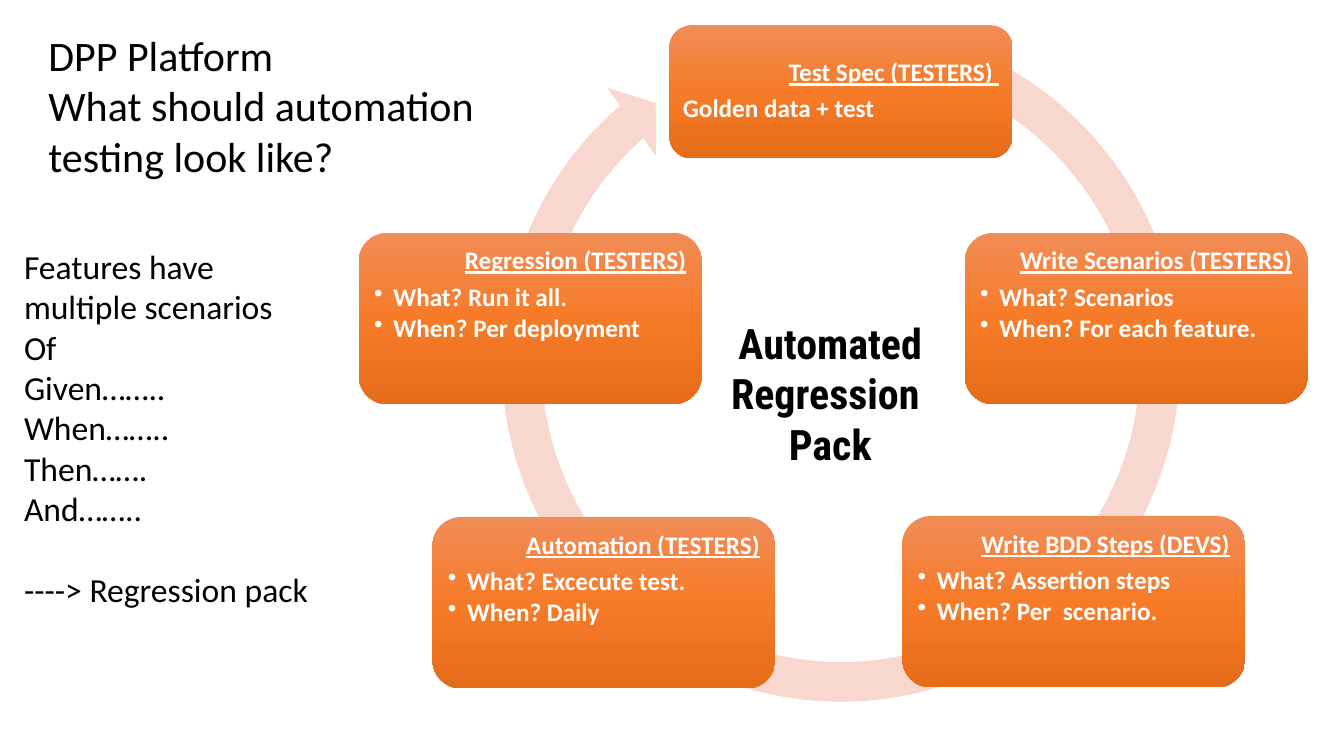
import copy

import lxml.etree
import pptx
import pptx.dml.color
import pptx.enum.shapes
import pptx.enum.text
import pptx.oxml.ns
import pptx.util

ALIGN = pptx.enum.text.PP_ALIGN
ANCHOR = pptx.enum.text.MSO_ANCHOR
SHAPE = pptx.enum.shapes.MSO_SHAPE
qn = pptx.oxml.ns.qn

CARD_WIDTH = 34
CARD_STOPS = [(0, "F18C57"), (0.5, "F67B28"), (1, "E56C19")]
STAGES = [
    (95.7, 23.1, "Write Scenarios (TESTERS)", ["What? Scenarios", "When? For each feature."]),
    (89.5, 51.2, "Write BDD Steps (DEVS)", ["What? Assertion steps", "When? Per  scenario."]),
    (42.9, 51.3, "Automation (TESTERS)", ["What? Excecute test.", "When? Daily"]),
    (35.6, 23.1, "Regression (TESTERS)", ["What? Run it all.", "When? Per deployment"]),
]
FEATURE_LINES = ["Features have", "multiple scenarios", "Of", "Given……..",
                 "When……..", "Then…….", "And…….."]


def color(value):
    return pptx.dml.color.RGBColor.from_string(value)


def write(frame, text, size=18, font="Calibri", ink="000000", bold=False, underline=False,
          align=ALIGN.LEFT, spacing=1.0, before=0, after=0, bullet=False):
    para = frame.paragraphs[0] if not frame.text else frame.add_paragraph()
    para.alignment, para.line_spacing = align, spacing
    para.space_before, para.space_after = pptx.util.Pt(before), pptx.util.Pt(after)
    if bullet:
        properties = para._p.get_or_add_pPr()
        indent = pptx.util.Inches(0.19)
        properties.set("marL", str(indent))
        properties.set("indent", str(-indent))
        lxml.etree.SubElement(properties, qn("a:buChar")).set("char", "•")
    span = para.add_run()
    span.text = text
    span.font.name, span.font.size = font, pptx.util.Pt(size)
    span.font.bold, span.font.underline = bold, underline
    span.font.color.rgb = color(ink)


class Board:
    """Draws styled elements on a page with a grid of 0.1 inch columns and rows."""

    def __init__(self, deck):
        self.unit = pptx.util.Inches(0.1)
        self.page = deck.slides.add_slide(deck.slide_layouts[5])

    def place(self, *cells):
        return [round(cell * self.unit) for cell in cells]

    def title(self, cells, lines, **style):
        box = self.page.shapes.title
        box.left, box.top, box.width, box.height = self.place(*cells)
        self.fill_text(box.text_frame, lines, **style)

    def text(self, cells, lines, **style):
        box = self.page.shapes.add_textbox(*self.place(*cells))
        self.fill_text(box.text_frame, lines, **style)
        return box.text_frame

    def fill_text(self, frame, lines, **style):
        frame.word_wrap = True
        frame.auto_size = pptx.enum.text.MSO_AUTO_SIZE.NONE
        frame.vertical_anchor = ANCHOR.TOP
        for line in lines:
            write(frame, line, **style)

    def shape(self, kind, cells):
        box = self.page.shapes.add_shape(kind, *self.place(*cells))
        box.shadow.inherit = False
        box.line.fill.background()
        return box

    def ring(self, cells, adjustments, fill):
        arrow = self.shape(SHAPE.CIRCULAR_ARROW, cells)
        for index, value in enumerate(adjustments):
            arrow.adjustments[index] = value
        arrow.fill.solid()
        arrow.fill.fore_color.rgb = color(fill)

    def card(self, column, row, heading, lines, height=17, anchor=ANCHOR.TOP,
             bullet=True, after=2.7):
        box = self.shape(SHAPE.ROUNDED_RECTANGLE, (column, row, CARD_WIDTH, height))
        box.fill.gradient()
        box.fill.gradient_angle = 270
        stops = box._element.spPr.find(".//" + qn("a:gsLst"))
        stops.append(copy.deepcopy(stops[0]))
        for stop, (position, value) in zip(box.fill.gradient_stops, CARD_STOPS):
            stop.position, stop.color.rgb = position, color(value)
        frame = box.text_frame
        frame.margin_left = frame.margin_right = pptx.util.Inches(0.07)
        frame.margin_top = frame.margin_bottom = pptx.util.Inches(0.07)
        style = dict(ink="FFFFFF", bold=True, spacing=0.9)
        self.fill_text(frame, [heading], underline=True, align=ALIGN.RIGHT, after=6.3, **style)
        self.fill_text(frame, lines, bullet=bullet, after=after, **style)
        frame.vertical_anchor = anchor


def main():
    deck = pptx.Presentation()
    deck.slide_width, deck.slide_height = pptx.util.Inches(13.33), pptx.util.Inches(7.5)
    board = Board(deck)
    board.title((3.8, 2.4, 53.8, 16.2),
                ["DPP Platform", "What should automation testing look like?"], size=30)
    board.ring((47.6, 0.2, 71.6, 71.6), (0.055, 3.307, 137.423, 174.065, 0.058), "F8D7CE")
    board.card(66.4, 2.5, "Test Spec (TESTERS) ", ["Golden data + test"], height=13.2,
               anchor=ANCHOR.MIDDLE, bullet=False, after=6.3)
    for stage in STAGES:
        board.card(*stage)
    features = board.text((1.4, 23.9, 33, 37.4), FEATURE_LINES, size=24)
    write(features, "----> Regression pack", size=24, before=29)
    board.text((49, 31, 66.7, 16.2), ["Automated", "Regression ", "Pack"], size=30,
               font="Roboto Condensed", bold=True, align=ALIGN.CENTER)
    deck.save("out.pptx")


if __name__ == "__main__":
    main()
